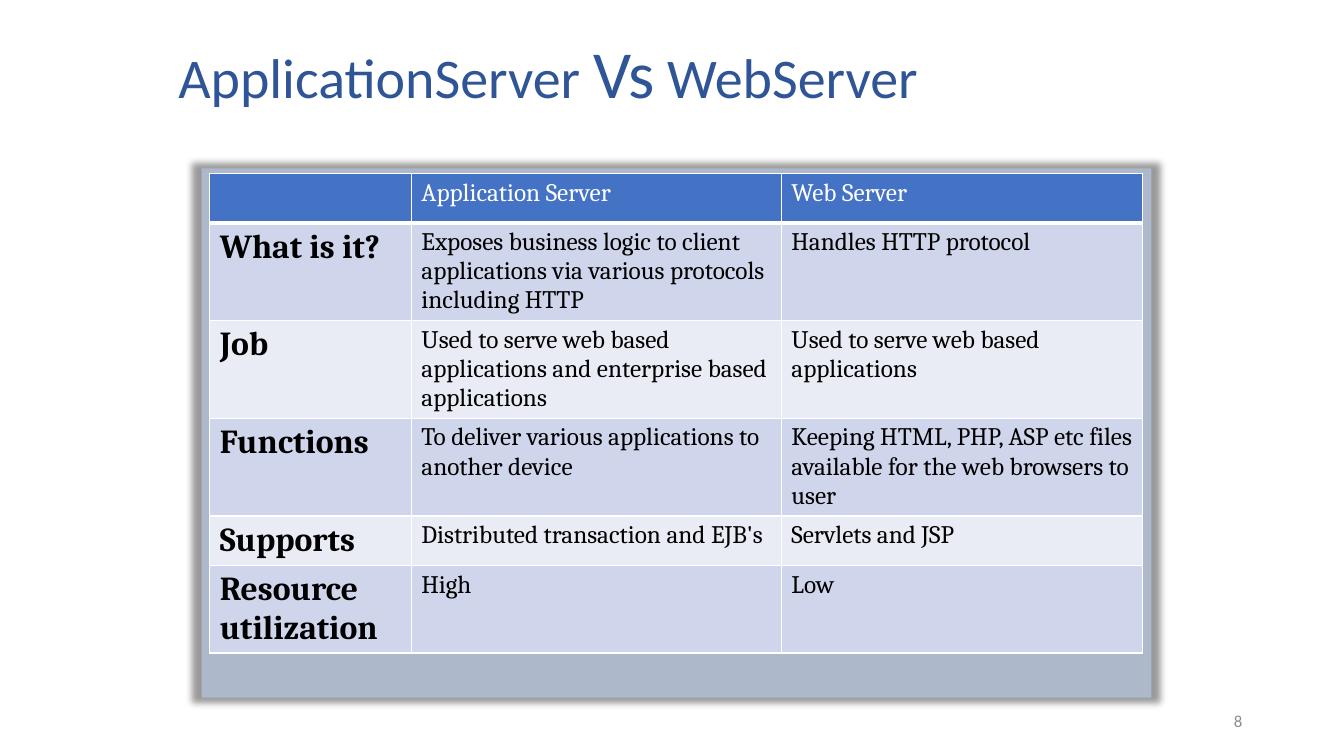
import pptx
import pptx.dml.color
import pptx.enum.shapes
import pptx.enum.text
import pptx.oxml
import pptx.oxml.ns
import pptx.util

Inches = pptx.util.Inches
Pt = pptx.util.Pt
ALIGN = pptx.enum.text.PP_ALIGN
NAMESPACE = pptx.oxml.ns.nsdecls("a")

COLUMN_WIDTHS = [2, 3.67, 3.58]
ROW_HEIGHTS = [0.49, 0.97, 0.97, 0.97, 0.49, 0.87]
COMPARISON = [
    ["", "Application Server", "Web Server"],
    ["What is it?",
     "Exposes business logic to client applications via various protocols including HTTP",
     "Handles HTTP protocol"],
    ["Job",
     "Used to serve web based applications and enterprise based applications",
     "Used to serve web based applications"],
    ["Functions",
     "To deliver various applications to another device",
     "Keeping HTML, PHP, ASP etc files available for the web browsers to user"],
    ["Supports", "Distributed transaction and EJB's", "Servlets and JSP"],
    ["Resource utilization", "High", "Low"],
]


def color(value):
    return pptx.dml.color.RGBColor.from_string(value)


class SlideBuilder:
    heading_font = "Calibri"
    table_font = "Cambria"
    heading_color = "2F5597"
    number_color = "8C8C8C"
    panel_color = "ADB9CA"
    header_color = "4472C4"
    band_colors = ["E9EBF5", "CFD5EA"]
    border_color = "FFFFFF"

    def __init__(self, page):
        self.page = page

    def style(self, span, font, size, value, bold=False):
        span.font.name = font
        span.font.size = Pt(size)
        span.font.bold = bold
        span.font.color.rgb = color(value)

    def text(self, left, top, width, height, spans, value, align=ALIGN.LEFT):
        """Add one line of text from (wording, size) pairs."""
        box = self.page.shapes.add_textbox(
            Inches(left), Inches(top), Inches(width), Inches(height))
        box.text_frame.word_wrap = True
        box.text_frame.vertical_anchor = pptx.enum.text.MSO_ANCHOR.MIDDLE
        para = box.text_frame.paragraphs[0]
        para.alignment = align
        for wording, size in spans:
            span = para.add_run()
            span.text = wording
            self.style(span, self.heading_font, size, value)

    def panel(self, left, top, width, height):
        """Add a plain rectangle with a soft shadow on all sides."""
        panel = self.page.shapes.add_shape(
            pptx.enum.shapes.MSO_SHAPE.RECTANGLE,
            Inches(left), Inches(top), Inches(width), Inches(height))
        panel.fill.solid()
        panel.fill.fore_color.rgb = color(self.panel_color)
        panel.line.fill.background()
        panel.shadow.inherit = False
        effects = panel._element.spPr.find(pptx.oxml.ns.qn("a:effectLst"))
        effects.append(pptx.oxml.parse_xml(
            f'<a:outerShdw {NAMESPACE} blurRad="{Pt(5)}" sx="102000" sy="102000" '
            'algn="ctr" rotWithShape="0"><a:srgbClr val="000000">'
            '<a:alpha val="40000"/></a:srgbClr></a:outerShdw>'))

    def borders(self, cell, bottom_width):
        widths = {"lnL": 1, "lnR": 1, "lnT": 1, "lnB": bottom_width}
        properties = cell._tc.get_or_add_tcPr()
        for position, (side, width) in enumerate(widths.items()):
            properties.insert(position, pptx.oxml.parse_xml(
                f'<a:{side} {NAMESPACE} w="{Pt(width)}"><a:solidFill>'
                f'<a:srgbClr val="{self.border_color}"/></a:solidFill></a:{side}>'))

    def table(self, left, top, column_widths, row_heights, rows):
        table = self.page.shapes.add_table(
            len(rows), len(column_widths), Inches(left), Inches(top),
            Inches(sum(column_widths)), Inches(sum(row_heights))).table
        for column, width in zip(table.columns, column_widths):
            column.width = Inches(width)
        for row, height in zip(table.rows, row_heights):
            row.height = Inches(height)
        for row_index, wordings in enumerate(rows):
            header = row_index == 0
            fill = self.header_color if header else self.band_colors[row_index % 2]
            for column_index, wording in enumerate(wordings):
                cell = table.cell(row_index, column_index)
                cell.fill.solid()
                cell.fill.fore_color.rgb = color(fill)
                self.borders(cell, 3 if header else 1)
                cell.text_frame.text = wording
                label = column_index == 0
                for span in cell.text_frame.paragraphs[0].runs:
                    self.style(span, self.table_font, 24 if label else 18,
                               "FFFFFF" if header else "000000", label)


def main():
    deck = pptx.Presentation()
    deck.slide_width = Inches(13.33)
    deck.slide_height = Inches(7.5)
    builder = SlideBuilder(deck.slides.add_slide(deck.slide_layouts[6]))
    builder.panel(2, 1.67, 9.42, 5.25)
    builder.table(2.08, 1.72, COLUMN_WIDTHS, ROW_HEIGHTS, COMPARISON)
    builder.text(1.67, 0, 7.67, 1.42,
                 [("ApplicationServer ", 40), ("Vs", 48), (" WebServer", 40)],
                 builder.heading_color)
    builder.text(9.42, 6.95, 3, 0.4, [("8", 12)], builder.number_color, ALIGN.RIGHT)
    deck.save("out.pptx")


if __name__ == "__main__":
    main()
